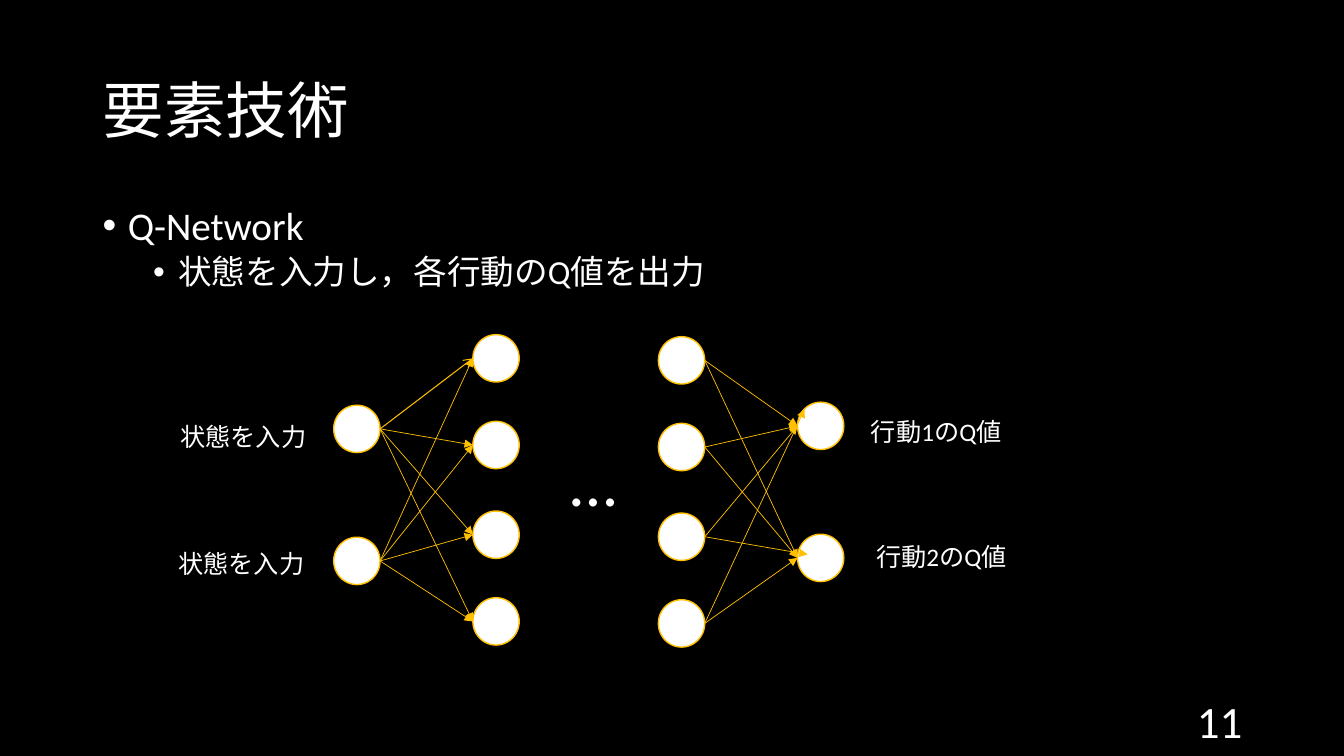
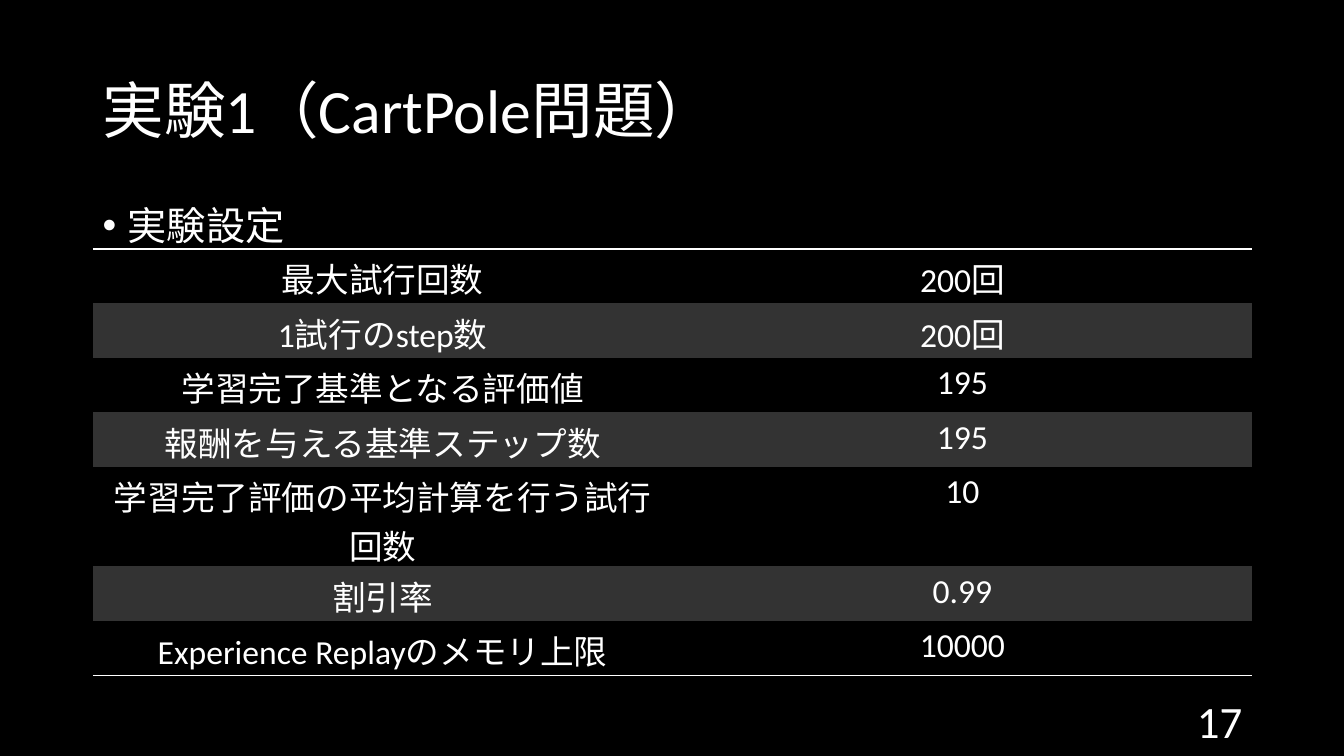
"""Build two dark slides: a Q-Network diagram and a table of experiment settings."""
import dataclasses
import itertools
import typing

import lxml.etree
import pptx
import pptx.dml.color
import pptx.enum.shapes
import pptx.enum.text
import pptx.oxml.ns
import pptx.slide
import pptx.text.text
import pptx.util

Inches = pptx.util.Inches
Pt = pptx.util.Pt
RGBColor = pptx.dml.color.RGBColor
Align = pptx.enum.text.PP_ALIGN
Anchor = pptx.enum.text.MSO_ANCHOR
qn = pptx.oxml.ns.qn

BLACK = RGBColor(0x00, 0x00, 0x00)
WHITE = RGBColor(0xFF, 0xFF, 0xFF)
AMBER = RGBColor(0xFF, 0xC0, 0x00)
BAND_GRAY = RGBColor(0x33, 0x33, 0x33)
FONT = "Calibri"
PLAIN_TABLE_STYLE = "{2D5ABB26-0587-4C30-8999-92F81FD0307C}"

NODE_WIDTH = 0.46
NODE_HEIGHT = 0.47


@dataclasses.dataclass(frozen=True)
class Box:
    """Position and size in inches."""

    left: float
    top: float
    width: float
    height: float


@dataclasses.dataclass(frozen=True)
class Layer:
    """One column of network nodes."""

    left: float
    tops: tuple[float, ...]

    def entry(self, index: int) -> tuple[float, float]:
        """Return the middle of a node's left edge."""
        return self.left, self.tops[index] + NODE_HEIGHT / 2

    def exit(self, index: int) -> tuple[float, float]:
        """Return the middle of a node's right edge."""
        return self.left + NODE_WIDTH, self.tops[index] + NODE_HEIGHT / 2


@dataclasses.dataclass(frozen=True)
class Label:
    """A caption beside a node."""

    text: str
    left: float
    top: float


TITLE_BOX = Box(0.92, 0.4, 11.5, 1.45)
BODY_BOX = Box(0.92, 2, 11.5, 4.76)
NUMBER_BOX = Box(9.42, 6.95, 3, 0.4)
TABLE_BOX = Box(0.92, 2.47, 11.5, 4.23)
DOTS_BOX = Box(5.56, 4.31, 0.72, 0.91)

INPUTS = Layer(3.31, (4.02, 5.33))
FIRST_HIDDEN = Layer(4.69, (3.32, 4.18, 5.07, 5.93))
LAST_HIDDEN = Layer(6.53, (3.34, 4.2, 5.09, 5.95))
OUTPUTS = Layer(7.91, (3.99, 5.3))
INNER_ENDS = {(3, 0): (7.98, 4.06), (2, 1): (8.01, 5.5)}

LABELS = (
    Label("状態を入力", 1.69, 4.13),
    Label("状態を入力", 1.67, 5.39),
    Label("行動1のQ値", 8.54, 4.08),
    Label("行動2のQ値", 8.59, 5.32),
)

SETTINGS = (
    ("最大試行回数", "200回"),
    ("1試行のstep数", "200回"),
    ("学習完了基準となる評価値", "195"),
    ("報酬を与える基準ステップ数", "195"),
    ("学習完了評価の平均計算を行う試行回数", "10"),
    ("割引率", "0.99"),
    ("Experience Replayのメモリ上限", "10000"),
)
ROW_HEIGHT = 0.54
TALL_ROW = 4
TALL_ROW_HEIGHT = 0.99


def write_text(
    frame: pptx.text.text.TextFrame,
    text: str,
    *,
    size: float,
    align: Align = Align.LEFT,
    spacing: float = 1.0,
    before: float = 0,
    bullet_indent: typing.Optional[float] = None,
) -> None:
    """Write a paragraph, reusing the first one while it is empty."""
    para = frame.paragraphs[0]
    if para.runs:
        para = frame.add_paragraph()
    para.alignment = align
    para.line_spacing = spacing
    para.space_before = Pt(before)
    span = para.add_run()
    span.text = text
    span.font.size = Pt(size)
    span.font.name = FONT
    span.font.color.rgb = WHITE
    if bullet_indent is not None:
        properties = para._p.get_or_add_pPr()
        properties.set("marL", str(Inches(bullet_indent)))
        properties.set("indent", str(Inches(-0.25)))
        lxml.etree.SubElement(properties, qn("a:buFont"), typeface="Arial")
        lxml.etree.SubElement(properties, qn("a:buChar"), char="•")


def add_frame(
    page: pptx.slide.Slide, box: Box, anchor: Anchor = Anchor.TOP, wrap: bool = True
) -> pptx.text.text.TextFrame:
    """Add a text box and return its text frame."""
    shape = page.shapes.add_textbox(
        Inches(box.left), Inches(box.top), Inches(box.width), Inches(box.height)
    )
    frame = shape.text_frame
    frame.word_wrap = wrap
    frame.vertical_anchor = anchor
    return frame


def add_page(
    deck: typing.Any, title: str, number: int, bullets: tuple[str, ...]
) -> pptx.slide.Slide:
    """Add a black page with its title, number and nested bullets."""
    page = deck.slides.add_slide(deck.slide_layouts[6])
    page.background.fill.solid()
    page.background.fill.fore_color.rgb = BLACK
    write_text(add_frame(page, TITLE_BOX, Anchor.MIDDLE), title, size=44, spacing=0.9)
    write_text(
        add_frame(page, NUMBER_BOX, Anchor.MIDDLE), str(number), size=32, align=Align.RIGHT
    )
    body = add_frame(page, BODY_BOX)
    for level, text in enumerate(bullets):
        write_text(
            body,
            text,
            size=28 - 4 * level,
            spacing=0.9,
            before=10 - 5 * level,
            bullet_indent=0.25 + 0.5 * level,
        )
    return page


def add_layer(page: pptx.slide.Slide, layer: Layer) -> None:
    """Draw the nodes of one layer."""
    for top in layer.tops:
        node = page.shapes.add_shape(
            pptx.enum.shapes.MSO_SHAPE.OVAL,
            Inches(layer.left),
            Inches(top),
            Inches(NODE_WIDTH),
            Inches(NODE_HEIGHT),
        )
        node.shadow.inherit = False
        node.fill.solid()
        node.fill.fore_color.rgb = WHITE
        node.line.color.rgb = AMBER
        node.line.width = Pt(1)


def add_arrow(
    page: pptx.slide.Slide,
    start: tuple[float, float],
    end: tuple[float, float],
    width: float = 0.5,
    head: str = "triangle",
) -> None:
    """Draw an arrow between two points."""
    arrow = page.shapes.add_connector(
        pptx.enum.shapes.MSO_CONNECTOR.STRAIGHT, *map(Inches, (*start, *end))
    )
    arrow.line.color.rgb = AMBER
    arrow.line.width = Pt(width)
    lxml.etree.SubElement(arrow.line._get_or_add_ln(), qn("a:tailEnd"), type=head)
    lxml.etree.SubElement(arrow._element.spPr, qn("a:effectLst"))


def add_network(page: pptx.slide.Slide) -> None:
    """Draw the network with its arrows and captions."""
    for layer in (INPUTS, FIRST_HIDDEN, LAST_HIDDEN, OUTPUTS):
        add_layer(page, layer)
    write_text(add_frame(page, DOTS_BOX, wrap=False), "…", size=48)
    for source, target in itertools.product(range(2), range(4)):
        style = {"width": 0.75, "head": "arrow"} if source == target == 0 else {}
        add_arrow(page, INPUTS.exit(source), FIRST_HIDDEN.entry(target), **style)
    for source, target in itertools.product(range(4), range(2)):
        end = INNER_ENDS.get((source, target), OUTPUTS.entry(target))
        add_arrow(page, LAST_HIDDEN.exit(source), end)
    for label in LABELS:
        write_text(add_frame(page, Box(label.left, label.top, 1.55, 0.4)), label.text, size=18)


def add_border(cell: typing.Any, side: str) -> None:
    """Give one side of a cell a thin white line."""
    line = lxml.etree.Element(qn(f"a:{side}"), w=str(Pt(1)))
    fill = lxml.etree.SubElement(line, qn("a:solidFill"))
    lxml.etree.SubElement(fill, qn("a:srgbClr"), val=str(WHITE))
    cell._tc.get_or_add_tcPr().insert(0, line)


def add_settings(page: pptx.slide.Slide) -> None:
    """Draw the table of experiment settings."""
    box = TABLE_BOX
    holder = page.shapes.add_table(
        len(SETTINGS),
        2,
        Inches(box.left),
        Inches(box.top),
        Inches(box.width),
        Inches(box.height),
    )
    table = holder.table
    table.first_row = False
    table.horz_banding = False
    for style in table._tbl.iter(qn("a:tableStyleId")):
        style.text = PLAIN_TABLE_STYLE
    for row, texts in enumerate(SETTINGS):
        table.rows[row].height = Inches(TALL_ROW_HEIGHT if row == TALL_ROW else ROW_HEIGHT)
        for column, text in enumerate(texts):
            cell = table.cell(row, column)
            write_text(cell.text_frame, text, size=24, align=Align.CENTER)
            if row % 2:
                cell.fill.solid()
                cell.fill.fore_color.rgb = BAND_GRAY
            else:
                cell.fill.background()
            if row == 0:
                add_border(cell, "lnT")
            elif row == len(SETTINGS) - 1:
                add_border(cell, "lnB")


def main() -> None:
    """Build and save the deck."""
    deck = pptx.Presentation()
    deck.slide_width = Inches(13.33)
    deck.slide_height = Inches(7.5)
    add_network(
        add_page(deck, "要素技術", 11, ("Q-Network", "状態を入力し，各行動のQ値を出力"))
    )
    add_settings(add_page(deck, "実験1（CartPole問題）", 17, ("実験設定",)))
    deck.save("out.pptx")


if __name__ == "__main__":
    main()
